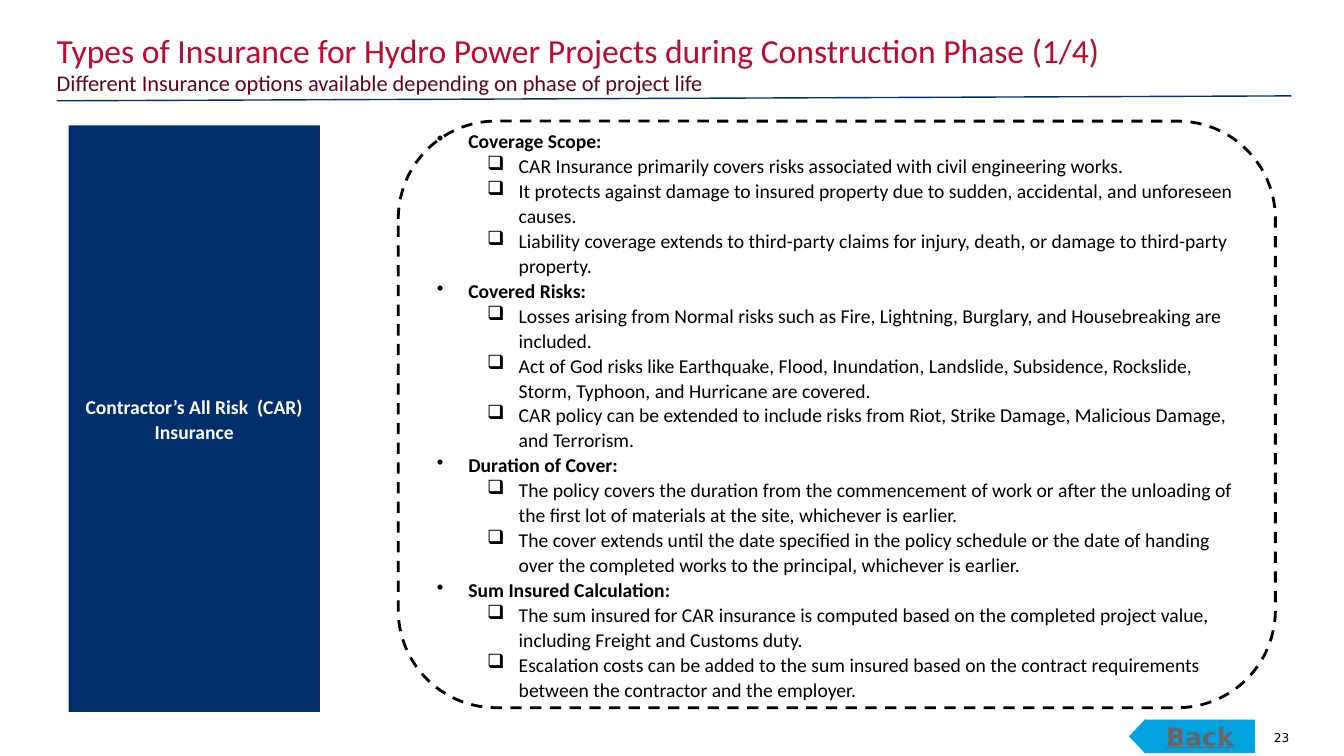
from lxml.etree import SubElement as Sub
from pptx import Presentation
from pptx.dml.color import RGBColor
from pptx.enum.dml import MSO_LINE as Dash
from pptx.enum.shapes import MSO_CONNECTOR as Wire, MSO_SHAPE as Kind
from pptx.enum.text import MSO_ANCHOR as Anchor, MSO_AUTO_SIZE as Fit, PP_ALIGN as Align
from pptx.oxml.ns import qn
from pptx.util import Pt

NAVY = RGBColor(0x00, 0x2F, 0x6C)
RED = RGBColor(0xBA, 0x0C, 0x2F)
WINE = RGBColor(0x5D, 0x06, 0x18)
SKY = RGBColor(0x00, 0xA3, 0xE0)
GREY = RGBColor(0x6C, 0x64, 0x63)
WHITE = RGBColor(0xFF, 0xFF, 0xFF)
BLACK = RGBColor(0x00, 0x00, 0x00)

TOPICS = {
    "Coverage Scope:": [
        "CAR Insurance primarily covers risks associated with civil engineering works.",
        "It protects against damage to insured property due to sudden, accidental, and unforeseen causes.",
        "Liability coverage extends to third-party claims for injury, death, or damage to third-party property.",
    ],
    "Covered Risks:": [
        "Losses arising from Normal risks such as Fire, Lightning, Burglary, and Housebreaking are included.",
        "Act of God risks like Earthquake, Flood, Inundation, Landslide, Subsidence, Rockslide, "
        "Storm, Typhoon, and Hurricane are covered.",
        "CAR policy can be extended to include risks from Riot, Strike Damage, Malicious Damage, and Terrorism.",
    ],
    "Duration of Cover:": [
        "The policy covers the duration from the commencement of work or after the unloading of "
        "the first lot of materials at the site, whichever is earlier.",
        "The cover extends until the date specified in the policy schedule or the date of handing "
        "over the completed works to the principal, whichever is earlier.",
    ],
    "Sum Insured Calculation:": [
        "The sum insured for CAR insurance is computed based on the completed project value, "
        "including Freight and Customs duty.",
        "Escalation costs can be added to the sum insured based on the contract requirements "
        "between the contractor and the employer.",
    ],
}


def write(para, text, size, color, face="Calibri", bold=False, line=False,
          align=Align.LEFT, gap=1.0, mark=None, left=0, hang=0):
    props = para._p.get_or_add_pPr()
    props.set("marL", str(Pt(left)))
    props.set("indent", str(-Pt(hang)))
    if mark:
        Sub(props, qn("a:buChar")).set("char", mark)
    else:
        Sub(props, qn("a:buNone"))
    para.alignment = align
    para.line_spacing = gap
    para.space_before = para.space_after = Pt(0)
    run = para.add_run()
    run.text = text
    font = run.font
    font.name, font.size, font.bold, font.underline = face, Pt(size), bold, line
    font.color.rgb = color


def place(shape, box, pad=(0, 0), anchor=Anchor.TOP, fill=None):
    shape.left, shape.top, shape.width, shape.height = map(Pt, box)
    frame = shape.text_frame
    frame.word_wrap = True
    frame.auto_size = Fit.NONE
    frame.vertical_anchor = anchor
    frame.margin_left = frame.margin_right = Pt(pad[0])
    frame.margin_top = frame.margin_bottom = Pt(pad[1])
    if fill is not None:
        shape.shadow.inherit = False
        shape.fill.solid()
        shape.fill.fore_color.rgb = fill
        shape.line.fill.background()
    return frame.paragraphs[0]


deck = Presentation()
deck.slide_width, deck.slide_height = Pt(960), Pt(540)
slide = deck.slides.add_slide(deck.slide_layouts[1])
shapes = slide.shapes

para = place(shapes.title, (40.5, 21, 888.5, 33))
write(para, "Types of Insurance for Hydro Power Projects during Construction Phase (1/4)", 24, RED)

para = place(slide.placeholders[1], (40.5, 46, 908.5, 22.5), pad=(0, 3.6))
write(para, "Different Insurance options available depending on phase of project life", 16, WINE)

rule = shapes.add_connector(Wire.STRAIGHT, Pt(40.5), Pt(72), Pt(922.5), Pt(68.5))
rule.line.color.rgb = NAVY
rule.line.width = Pt(1)
Sub(rule._element.spPr, qn("a:effectLst"))

panel = shapes.add_shape(Kind.RECTANGLE, 0, 0, 0, 0)
para = place(panel, (49, 89.5, 179.5, 419), (7.2, 7.2), Anchor.MIDDLE, NAVY)
write(para, "Contractor’s All Risk  (CAR) Insurance", 14, WHITE, bold=True, align=Align.CENTER, gap=1.06)

card = shapes.add_shape(Kind.ROUNDED_RECTANGLE, 0, 0, 0, 0)
para = place(card, (284.5, 86.5, 626.5, 419), (7.2, 7.2), Anchor.MIDDLE, WHITE)
card.line.color.rgb = BLACK
card.line.width = Pt(2)
card.line.dash_style = Dash.DASH
for topic, points in TOPICS.items():
    if para is None:
        para = card.text_frame.add_paragraph()
    write(para, topic, 14, BLACK, bold=True, gap=1.06, mark="•", left=22.5, hang=22.5)
    for point in points:
        para = card.text_frame.add_paragraph()
        para.level = 1
        write(para, point, 14, BLACK, gap=1.06, mark="❑", left=58.5, hang=22.5)
    para = None

back = shapes.add_shape(Kind.LEFT_ARROW, 0, 0, 0, 0)
para = place(back, (806.5, 513.5, 90, 25), (7.2, 3.6), Anchor.MIDDLE, SKY)
back.adjustments[0], back.adjustments[1] = 0.96, 0.47
write(para, "Back", 18, GREY, face="DejaVu Sans", bold=True, line=True, align=Align.CENTER)

page = shapes.add_textbox(0, 0, 0, 0)
para = place(page, (896.5, 522, 24.5, 8))
write(para, "23", 8.7, BLACK, face="DejaVu Sans", align=Align.RIGHT)

deck.save("out.pptx")
